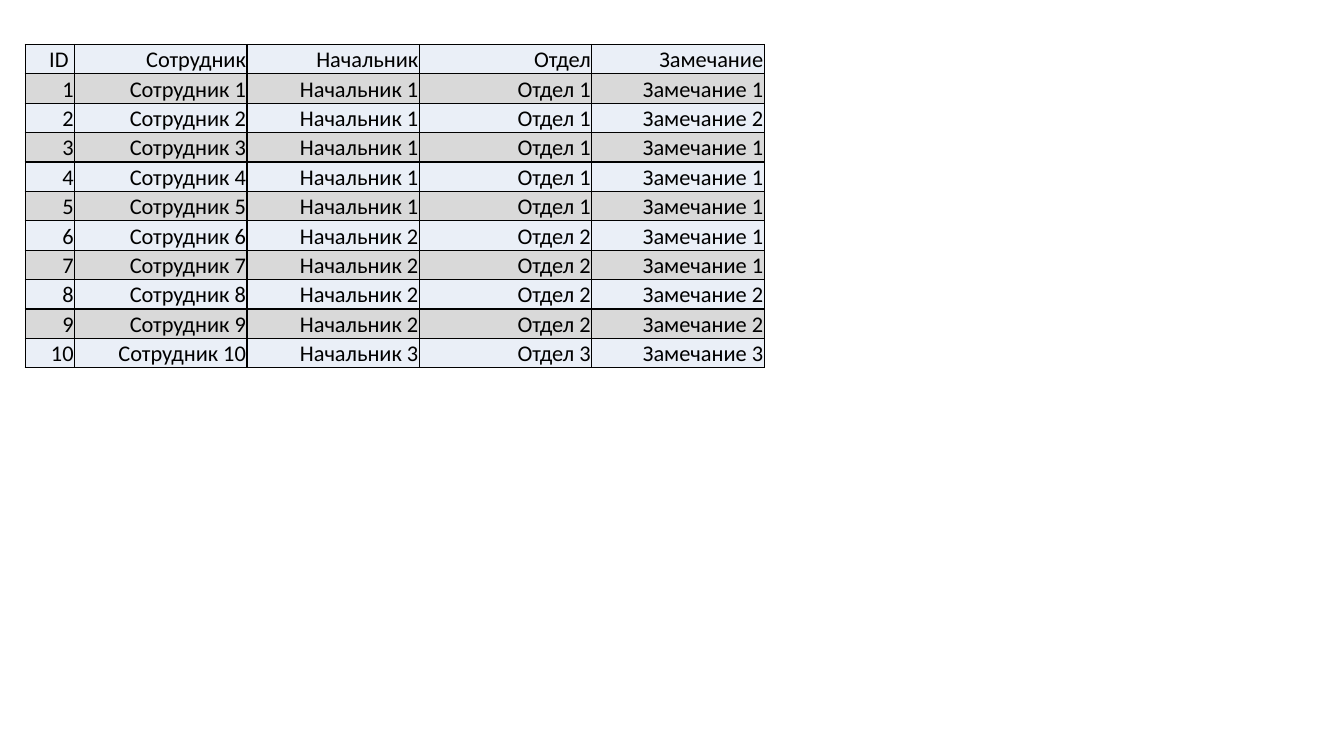
from lxml import etree
from pptx import Presentation
from pptx import util as u
from pptx.dml import color
from pptx.enum import text
from pptx.oxml import ns

COLORS = {"light": "EAEFF7", "grey": "D9D9D9", "black": "000000"}
HEADERS = ["ID\u00a0", "Сотрудник", "Начальник", "Отдел", "Замечание"]
# Each employee's manager (also the department number) and remark
MANAGERS = [1, 1, 1, 1, 1, 2, 2, 2, 2, 3]
REMARKS = [1, 2, 1, 1, 1, 1, 1, 2, 2, 3]
COLUMN_WIDTHS = [0.49] + [1.71] * 4
TABLE_HEIGHT = 3.21


def add_borders(cell, width, hex_color):
    properties = cell._tc.get_or_add_tcPr()
    for side in ("a:lnL", "a:lnR", "a:lnT", "a:lnB"):
        line = etree.SubElement(properties, ns.qn(side), w=str(u.Pt(width)))
        fill = etree.SubElement(line, ns.qn("a:solidFill"))
        etree.SubElement(fill, ns.qn("a:srgbClr"), val=hex_color)


presentation = Presentation()
presentation.slide_width = u.Inches(13.33)
presentation.slide_height = u.Inches(7.5)
slide = presentation.slides.add_slide(presentation.slide_layouts[6])

# Table contents
rows = [HEADERS]
for number, (manager, remark) in enumerate(zip(MANAGERS, REMARKS), start=1):
    values = [number, manager, manager, remark]
    rows.append([str(number)] + [f"{name} {value}" for name, value in zip(HEADERS[1:], values)])

# Table grid
table = slide.shapes.add_table(
    len(rows), len(HEADERS), u.Inches(0.25), u.Inches(0.44),
    u.Inches(sum(COLUMN_WIDTHS)), u.Inches(TABLE_HEIGHT)).table
table.first_row = False
table.horz_banding = False
for column, width in zip(table.columns, COLUMN_WIDTHS):
    column.width = u.Inches(width)
for row in table.rows:
    row.height = u.Inches(TABLE_HEIGHT / len(rows))

# Cells in alternating bands
for row_index, row in enumerate(rows):
    band = COLORS["grey" if row_index % 2 else "light"]
    for column_index, label in enumerate(row):
        cell = table.cell(row_index, column_index)
        cell.margin_left = cell.margin_right = cell.margin_top = u.Inches(0.01)
        cell.margin_bottom = 0
        cell.vertical_anchor = text.MSO_ANCHOR.BOTTOM
        add_borders(cell, 1, COLORS["black"])
        cell.fill.solid()
        cell.fill.fore_color.rgb = color.RGBColor.from_string(band)
        cell.text = label
        paragraph = cell.text_frame.paragraphs[0]
        paragraph.alignment = text.PP_ALIGN.RIGHT
        paragraph.font.name = "Calibri"
        paragraph.font.size = u.Pt(16)
        paragraph.font.color.rgb = color.RGBColor.from_string(COLORS["black"])

presentation.save("out.pptx")
